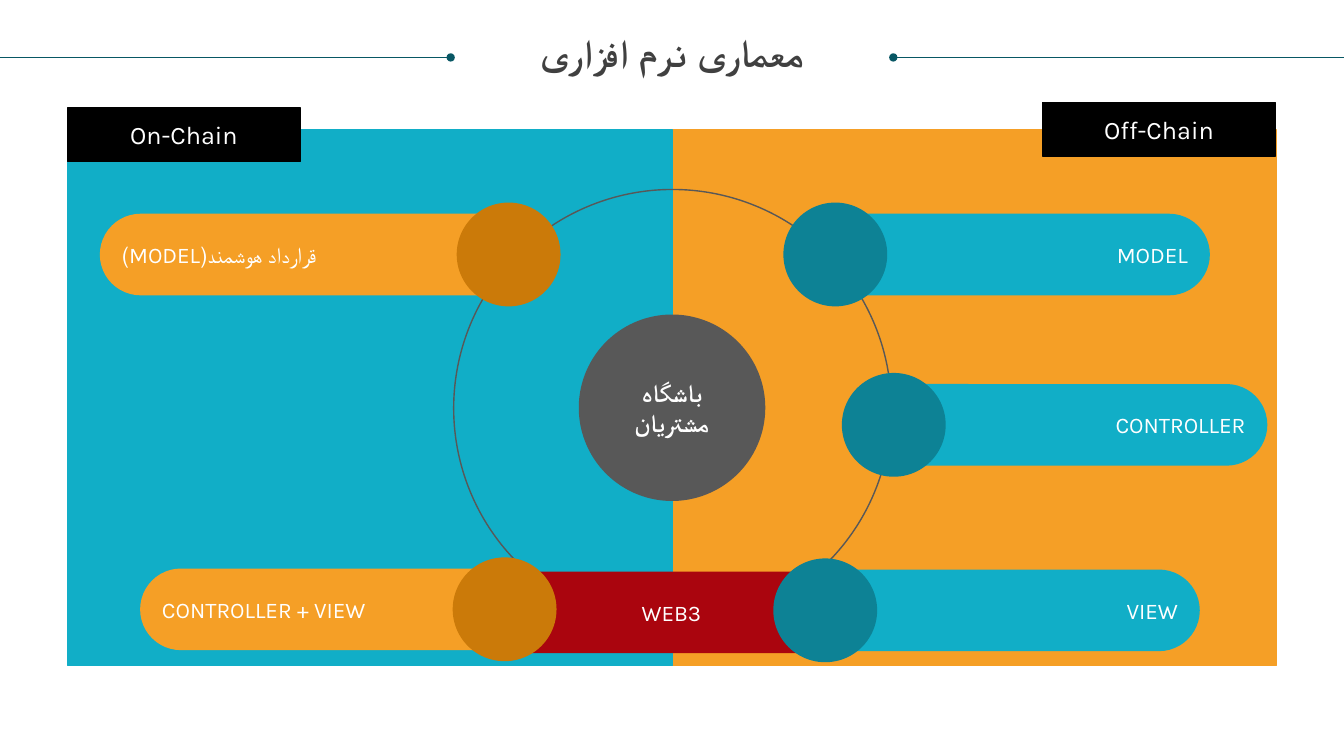
import pptx
import pptx.util
import pptx.dml.color
import pptx.enum.shapes
import pptx.enum.text
import pptx.oxml

Inches = pptx.util.Inches
Pt = pptx.util.Pt
Shape = pptx.enum.shapes.MSO_SHAPE
Align = pptx.enum.text.PP_ALIGN
Anchor = pptx.enum.text.MSO_ANCHOR

theme = {
    "teal": "11AEC7", "deep_teal": "0D8295", "orange": "F59F26", "deep_orange": "CB7A09",
    "grey": "585858", "red": "AA050E", "black": "000000", "white": "FFFFFF",
    "title": "404040", "rule": "085764",
    "heading_font": "Quicksand", "body_font": "Karla",
    "title_size": 28, "label_size": 18, "bar_size": 16,
}


def write(frame, text, align, font, size, color, bold=False, rtl=False):
    paragraph = frame.paragraphs[0]
    paragraph.text = text
    paragraph.alignment = align
    if rtl:
        paragraph._p.get_or_add_pPr().set("rtl", "1")
    run_font = paragraph.runs[0].font
    formats = {"name": theme[font], "size": Pt(theme[size]), "bold": bold}
    for attribute, value in formats.items():
        setattr(run_font, attribute, value)
    run_font.color.rgb = pptx.dml.color.RGBColor.from_string(theme[color])


def draw(kind, left, top, width, height, fill=None, line=None):
    shape = slide.shapes.add_shape(kind, Inches(left), Inches(top), Inches(width), Inches(height))
    shape.shadow.inherit = False
    for part, color in ((shape.fill, fill), (shape.line.fill, line)):
        if color:
            part.solid()
            part.fore_color.rgb = pptx.dml.color.RGBColor.from_string(theme[color])
        else:
            part.background()
    if line:
        shape.line.width = Pt(1)
    shape.text_frame.word_wrap = True
    shape.text_frame.vertical_anchor = Anchor.MIDDLE
    return shape


deck = pptx.Presentation()
deck.slide_width = Inches(13.33)
deck.slide_height = Inches(7.5)
slide = deck.slides.add_slide(deck.slide_layouts[5])

for left, color in ((6.66, "orange"), (0.67, "teal")):
    draw(Shape.RECTANGLE, left, 1.29, 6, 5.31, color, color)
draw(Shape.OVAL, 4.5, 1.88, 4.34, 4.34, line="grey")

heading = slide.shapes.title
for attribute, value in {"left": 0.25, "top": 0.33, "width": 12.83, "height": 0.44}.items():
    setattr(heading, attribute, Inches(value))
heading_formats = {
    "margin_left": 0, "margin_top": 0, "margin_right": 0, "margin_bottom": 0,
    "word_wrap": True, "vertical_anchor": Anchor.TOP,
    "auto_size": pptx.enum.text.MSO_AUTO_SIZE.SHAPE_TO_FIT_TEXT,
}
for attribute, value in heading_formats.items():
    setattr(heading.text_frame, attribute, value)
write(heading.text_frame, "معماری نرم افزاری", Align.CENTER, "heading_font", "title_size", "title", bold=True)
heading.text_frame.paragraphs[0].line_spacing = 0.9

for start, end, dot_end in ((8.86, 13.33, "headEnd"), (0, 4.47, "tailEnd")):
    rule = slide.shapes.add_connector(
        pptx.enum.shapes.MSO_CONNECTOR.STRAIGHT, Inches(start), Inches(0.57), Inches(end), Inches(0.57))
    rule.line.width = Pt(0.5)
    rule.line.color.rgb = pptx.dml.color.RGBColor.from_string(theme["rule"])
    namespace = pptx.oxml.ns.nsdecls("a")
    rule.line._get_or_add_ln().append(pptx.oxml.parse_xml(f'<a:{dot_end} {namespace} type="oval"/>'))
    rule._element.spPr.append(pptx.oxml.parse_xml(f"<a:effectLst {namespace}/>"))

hub = draw(Shape.OVAL, 5.74, 3.12, 1.85, 1.85, "grey")
write(hub.text_frame, "باشگاه مشتریان", Align.CENTER, "heading_font", "label_size", "white", bold=True)

for text, left, top in (("On-Chain", 0.67, 1.07), ("Off-Chain", 10.34, 1.02)):
    tag = draw(Shape.RECTANGLE, left, top, 2.31, 0.53, "black", "black")
    write(tag.text_frame, text, Align.CENTER, "body_font", "label_size", "white")

components = (
    ("WEB3", 4.66, 5.67, 4, "red", Align.CENTER, None, None),
    ("MODEL", 8, 2.12, 4, "teal", Align.RIGHT, 7.77, "deep_teal"),
    ("قرارداد هوشمند(MODEL)", 0.99, 2.12, 4.45, "orange", Align.LEFT, 4.53, "deep_orange"),
    ("CONTROLLER", 8.57, 3.81, 4, "teal", Align.RIGHT, 8.35, "deep_teal"),
    ("VIEW", 7.9, 5.65, 4, "teal", Align.RIGHT, 7.67, "deep_teal"),
    ("CONTROLLER + VIEW", 1.39, 5.64, 4, "orange", Align.LEFT, 4.49, "deep_orange"),
)
for text, left, top, width, color, align, knob_left, knob_color in components:
    bar = draw(Shape.ROUNDED_RECTANGLE, left, top, width, 0.81, color)
    bar.adjustments[0] = 0.5
    write(bar.text_frame, text, align, "body_font", "bar_size", "white", rtl=True)
    if knob_color:
        draw(Shape.OVAL, knob_left, top - 0.11, 1.03, 1.03, knob_color)

deck.save("out.pptx")
